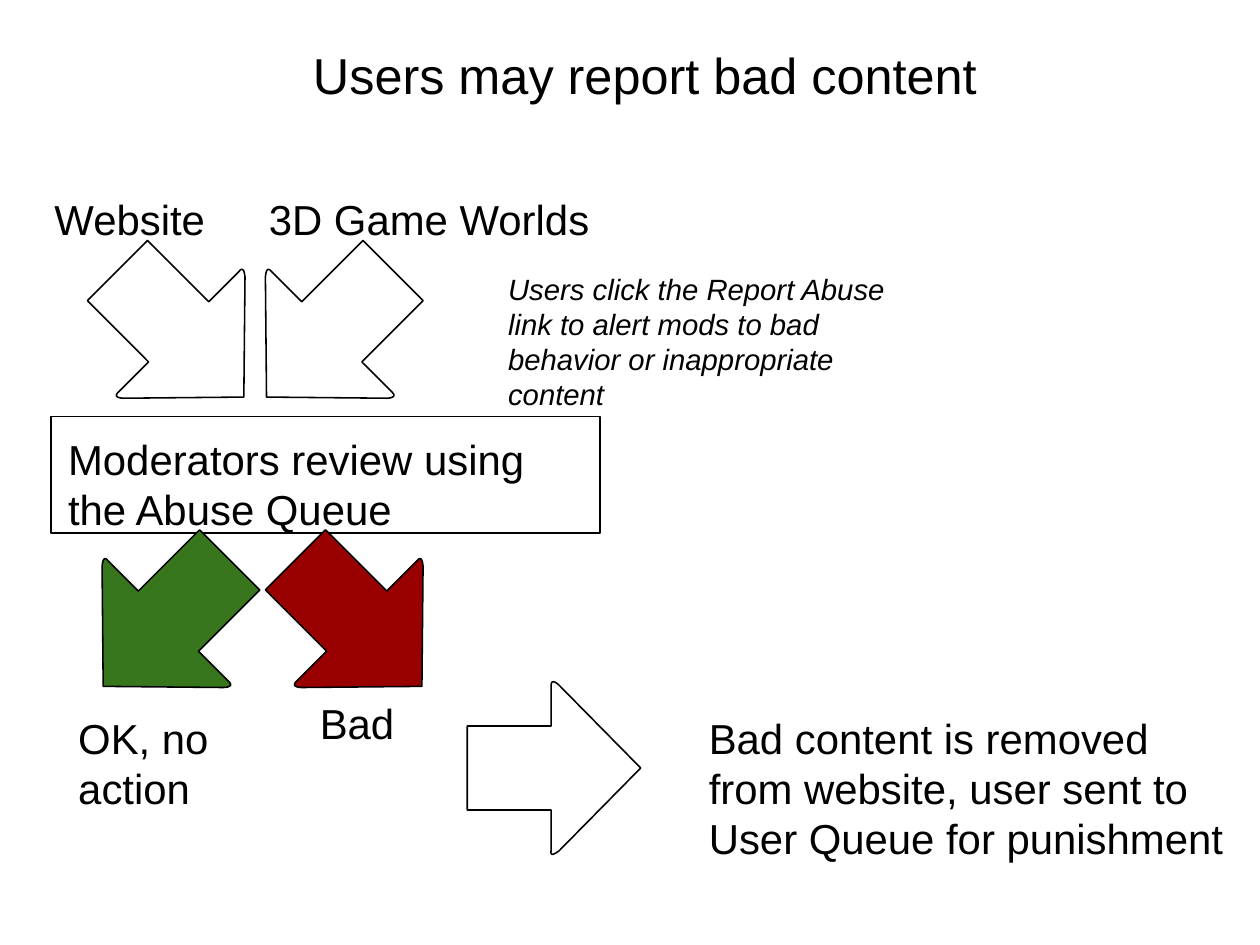
"""Build the slide on how users report bad content."""
from pptx import Presentation
from pptx.dml.color import RGBColor
from pptx.enum.shapes import MSO_SHAPE
from pptx.enum.text import MSO_ANCHOR, PP_ALIGN
from pptx.util import Pt

RECT = MSO_SHAPE.RECTANGLE
TOP = MSO_ANCHOR.TOP
LEFT, CENTER = PP_ALIGN.LEFT, PP_ALIGN.CENTER
PX = 9144
INSET = 4 * PX
FONT = "Arial"
LARGE, SMALL = 26.6, 18.6
COLORS = {"black": "000000", "white": "FFFFFF", "green": "38761D", "red": "990000"}

TITLE = ("Users may report bad content", (43, 35, 1052, 76))
QUEUE = (45, 367, 484, 103)
LABELS = [
    ("Website", (44, 167, 160, 104), LARGE, False),
    ("3D Game Worlds", (233, 167, 351, 78), LARGE, False),
    ("OK, no action", (65, 624, 160, 104), LARGE, False),
    ("Bad", (278, 611, 160, 104), LARGE, False),
    ("Bad content is removed from website, user sent to User Queue for punishment",
     (621, 624, 466, 139), LARGE, False),
    ("Users click the Report Abuse link to alert mods to bad behavior or "
     "inappropriate content", (444, 235, 384, 135), SMALL, True),
    ("Moderators review using the Abuse Queue", (56, 378, 468, 108), LARGE, False),
]

# Outline entries: (x, y) is a corner, six numbers are a Bezier curve.
SLANT = [(0, 53), (54, 107), (27, 134), (22, 139, 32, 139, 32, 139), (138, 138),
         (139, 32), (138, 21, 134, 27, 134, 27), (107, 54), (53, 0)]
AHEAD = [(0, 39), (74, 39), (74, 3), (74, -4, 81, 3, 81, 3), (153, 76), (81, 149),
         (72, 156, 74, 149, 74, 149), (74, 113), (0, 113)]
SPAN = 139
ARROWS = [
    (SLANT, 77, 212, False, "white"),
    (SLANT, 234, 212, True, "white"),
    (SLANT, 90, 467, True, "green"),
    (SLANT, 234, 467, False, "red"),
    (AHEAD, 412, 601, False, "white"),
]


def tint(name):
    return RGBColor.from_string(COLORS[name])


def place(box):
    return [n * PX for n in box]


def paint(shape, fill):
    shape.shadow.inherit = False
    shape.fill.solid()
    shape.fill.fore_color.rgb = tint(fill)
    shape.line.color.rgb = tint("black")
    shape.line.width = Pt(1)


def write(shape, text, size, slant=False, align=LEFT):
    frame = shape.text_frame
    frame.text = text
    frame.word_wrap = True
    frame.vertical_anchor = TOP
    frame.margin_left = frame.margin_right = INSET
    frame.margin_top = frame.margin_bottom = INSET
    para = frame.paragraphs[0]
    para.alignment = align
    para.line_spacing = 1.0
    font = para.runs[0].font
    font.name, font.size, font.italic = FONT, Pt(size), slant
    font.color.rgb = tint("black")


def trace(path, steps=8):
    points = []
    for part in path:
        if len(part) == 2:
            points.append(part)
            continue
        knots = [points[-1], part[:2], part[2:4], part[4:]]
        for i in range(1, steps + 1):
            t = i / steps
            u = 1 - t
            mix = (u ** 3, 3 * u * u * t, 3 * u * t * t, t ** 3)
            points.append(tuple(sum(m * k[a] for m, k in zip(mix, knots))
                                for a in (0, 1)))
    return points


def arrow(shapes, path, left, top, flip, fill):
    spots = [((left + (SPAN - x if flip else x)) * PX, (top + y) * PX)
             for x, y in trace(path)]
    pen = shapes.build_freeform(*spots[0])
    pen.add_line_segments(spots[1:], close=True)
    paint(pen.convert_to_shape(), fill)


def main():
    deck = Presentation()
    deck.slide_width, deck.slide_height = 1111 * PX, 833 * PX
    slide = deck.slides.add_slide(deck.slide_layouts[5])
    shapes = slide.shapes
    text, box = TITLE
    head = shapes.title
    head.left, head.top, head.width, head.height = place(box)
    write(head, text, 32, align=CENTER)
    paint(shapes.add_shape(RECT, *place(QUEUE)), "white")
    for item in ARROWS:
        arrow(shapes, *item)
    for text, box, size, slant in LABELS:
        write(shapes.add_textbox(*place(box)), text, size, slant)
    deck.save("out.pptx")


if __name__ == "__main__":
    main()
